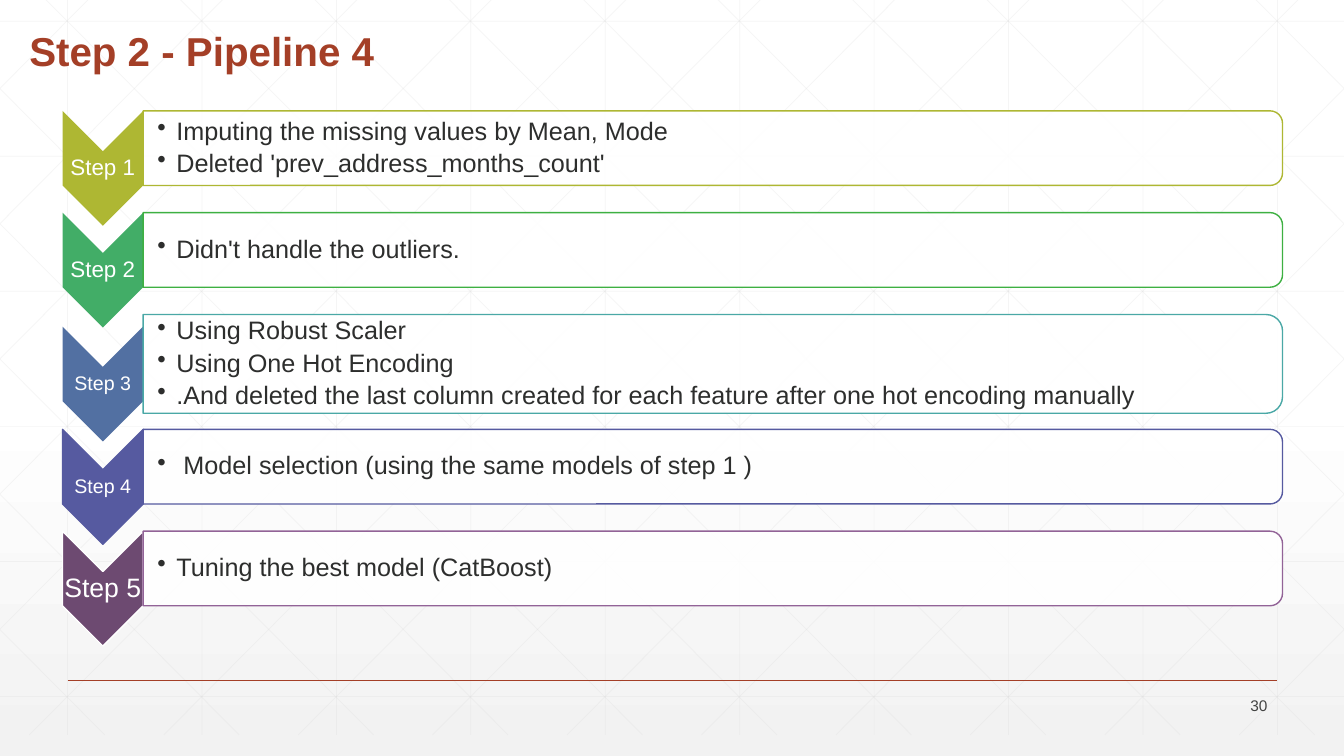
from pptx import Presentation
from pptx.dml.color import RGBColor
from pptx.enum.shapes import MSO_CONNECTOR, MSO_SHAPE
from pptx.enum.text import MSO_ANCHOR, MSO_AUTO_SIZE, PP_ALIGN
from pptx.oxml.ns import qn
from pptx.util import Inches, Pt
from lxml import etree

STRAIGHT = MSO_CONNECTOR.STRAIGHT
CHEVRON, BAR = MSO_SHAPE.CHEVRON, MSO_SHAPE.ROUND_2_SAME_RECTANGLE
MIDDLE, BOTTOM = MSO_ANCHOR.MIDDLE, MSO_ANCHOR.BOTTOM
LEFT, CENTER, RIGHT = PP_ALIGN.LEFT, PP_ALIGN.CENTER, PP_ALIGN.RIGHT

WHITE = RGBColor(0xFF, 0xFF, 0xFF)
PALE = RGBColor(0xF2, 0xF2, 0xF2)
GRID = RGBColor(0xD9, 0xD9, 0xD9)
RUST = RGBColor(0xA4, 0x3F, 0x27)
INK = RGBColor(0x2D, 0x2E, 0x2D)
GREY = RGBColor(0x42, 0x43, 0x42)
OLIVE = RGBColor(0xAE, 0xB7, 0x33)
JADE = RGBColor(0x42, 0xAD, 0x67)
GREEN = RGBColor(0x3E, 0xB0, 0x42)
BLUE = RGBColor(0x52, 0x70, 0xA2)
TEAL = RGBColor(0x4A, 0xA8, 0xA6)
INDIGO = RGBColor(0x56, 0x5A, 0xA0)
PLUM = RGBColor(0x6D, 0x4A, 0x71)
MAUVE = RGBColor(0x92, 0x63, 0x97)

WIDTH, HEIGHT = 13.33, 7.5

STEPS = [
    (1.1, 0.74, OLIVE, None, OLIVE, 16,
     ["Imputing the missing values by Mean, Mode", "Deleted 'prev_address_months_count'"]),
    (2.11, 0.74, JADE, None, GREEN, 16, ["Didn't handle the outliers."]),
    (3.24, 0.98, BLUE, None, TEAL, 14,
     ["Using Robust Scaler", "Using One Hot Encoding",
      ".And deleted the last column created for each feature after one hot encoding manually"]),
    (4.26, 0.74, INDIGO, INDIGO, INDIGO, 14,
     [" Model selection (using the same models of step 1 )"]),
    (5.27, 0.74, PLUM, WHITE, MAUVE, 19, ["Tuning the best model (CatBoost)"]),
]


def set_alpha(fill_owner, percent):
    """Make the solid colour inside an XML element partly transparent."""
    color = fill_owner.find(qn("a:solidFill"))[0]
    etree.SubElement(color, qn("a:alpha")).set("val", str(percent * 1000))


def write(tf, lines, size=18, color=INK, bold=False, align=LEFT, anchor=MIDDLE,
          insets=(0.1, 0.05, 0.1, 0.05), spacing=0.9, gap=0, bullet=False):
    """Fill a text frame with formatted paragraphs."""
    tf.word_wrap = True
    tf.auto_size = MSO_AUTO_SIZE.NONE
    tf.vertical_anchor = anchor
    tf.margin_left, tf.margin_top, tf.margin_right, tf.margin_bottom = map(Inches, insets)
    for i, line in enumerate(lines):
        p = tf.add_paragraph() if i else tf.paragraphs[0]
        p.alignment, p.line_spacing = align, spacing
        p.space_before = Pt(gap if i else 0)
        if bullet:
            pPr = p._p.get_or_add_pPr()
            pPr.set("marL", str(Inches(0.19)))
            pPr.set("indent", str(-Inches(0.19)))
            etree.SubElement(pPr, qn("a:buChar")).set("char", "•")
        r = p.add_run()
        r.text = line
        r.font.name, r.font.size, r.font.bold = "Arial", Pt(size), bold
        r.font.color.rgb = color


def add_text(slide, box, lines, **fmt):
    """Add a text box at the given left, top, width and height."""
    sp = slide.shapes.add_textbox(*map(Inches, box))
    write(sp.text_frame, lines, **fmt)


def add_line(slide, x1, y1, x2, y2, color=GRID, width=0.5, alpha=None):
    """Add a straight line without a shadow."""
    line = slide.shapes.add_connector(STRAIGHT, *map(Inches, (x1, y1, x2, y2)))
    line.line.color.rgb, line.line.width = color, Pt(width)
    spPr = line._element.spPr
    etree.SubElement(spPr, qn("a:effectLst"))
    if alpha:
        set_alpha(spPr.find(qn("a:ln")), alpha)


def add_turned(slide, kind, box, fill, line=None, alpha=None):
    """Add a shape turned by 90 degrees that covers the given box."""
    x, y, w, h = box
    sp = slide.shapes.add_shape(kind, Inches(x + (w - h) / 2), Inches(y + (h - w) / 2),
                                Inches(h), Inches(w))
    sp.rotation = 90
    sp.shadow.inherit = False
    sp.fill.solid()
    sp.fill.fore_color.rgb = fill
    if line is None:
        sp.line.fill.background()
    else:
        sp.line.color.rgb, sp.line.width = line, Pt(1)
    if alpha:
        set_alpha(sp._element.spPr, alpha)


def add_background(slide, top=-0.21, bottom=7.29, pitch=4 / 3, run=7.455):
    """Draw the pale gradient and the lattice of straight and diagonal lines."""
    fill = slide.background.fill
    fill.gradient()
    fill.gradient_angle = 270
    for stop, color, position in zip(fill.gradient_stops, (WHITE, PALE), (0.53, 1)):
        stop.color.rgb, stop.position = color, position
    for i in range(10):
        x = 0.67 + i * pitch
        add_line(slide, x, top, x, bottom, alpha=25)
    for i in range(6):
        y = 0.21 + i * 1.34
        add_line(slide, 0, y, WIDTH, y, alpha=25)
    slope = (bottom - top) / run
    for i in range(-5, 10):
        start = 0.25 + i * pitch
        x1, x2 = max(start, 0), min(start + run, WIDTH)
        y1, y2 = (top + (x - start) * slope for x in (x1, x2))
        add_line(slide, x1, y1, x2, y2, alpha=25)
        add_line(slide, WIDTH - x1, y1, WIDTH - x2, y2, alpha=25)


def add_title(slide, box, text):
    """Place and format the title above the lattice."""
    title = slide.shapes.title
    title.left, title.top, title.width, title.height = map(Inches, box)
    write(title.text_frame, [text], size=28.8, color=RUST, bold=True, anchor=BOTTOM)
    title._element.getparent().append(title._element)


def add_step(slide, box, label, bar_height, fill, edge, bar_line, size, bullets):
    """Draw one chevron with its label and the bar of bullets beside it."""
    x, y, w, h = box
    arrow_w, arrow_h, label_h = 0.8, 1.14, 0.34
    bar = (x + arrow_w, y + (h - bar_height) / 2, w - arrow_w, bar_height)
    add_turned(slide, CHEVRON, (x, y, arrow_w, arrow_h), fill, edge)
    add_text(slide, (x, y + (arrow_h - label_h) / 2, arrow_w, label_h), [label],
             size=size, color=WHITE, align=CENTER, insets=(0.01,) * 4)
    add_turned(slide, BAR, bar, WHITE, bar_line, alpha=90)
    add_text(slide, bar, bullets, insets=(0.14, 0.01, 0.01, 0.01), gap=3.5, bullet=True)


def add_footer(slide, box, number):
    """Draw the rule and the page number below it."""
    x, y, w, h = box
    add_line(slide, x, y, x + w, y, color=RUST, width=1)
    add_text(slide, (x + w - 1, y + 0.13, 1, h - 0.13), [number],
             size=11, color=GREY, align=RIGHT, spacing=1)


def main():
    """Build the slide and save it."""
    prs = Presentation()
    prs.slide_width, prs.slide_height = Inches(WIDTH), Inches(HEIGHT)
    slide = prs.slides.add_slide(prs.slide_layouts[5])
    add_background(slide)
    add_footer(slide, (0.67, 6.75, 12, 0.37), "30")
    add_title(slide, (0.19, 0.19, 10.5, 0.61), "Step 2 - Pipeline 4")
    for i, (top, *style) in enumerate(STEPS, 1):
        add_step(slide, (0.62, top, 12.1, 0.74), f"Step {i}", *style)
    prs.save("out.pptx")


if __name__ == "__main__":
    main()
